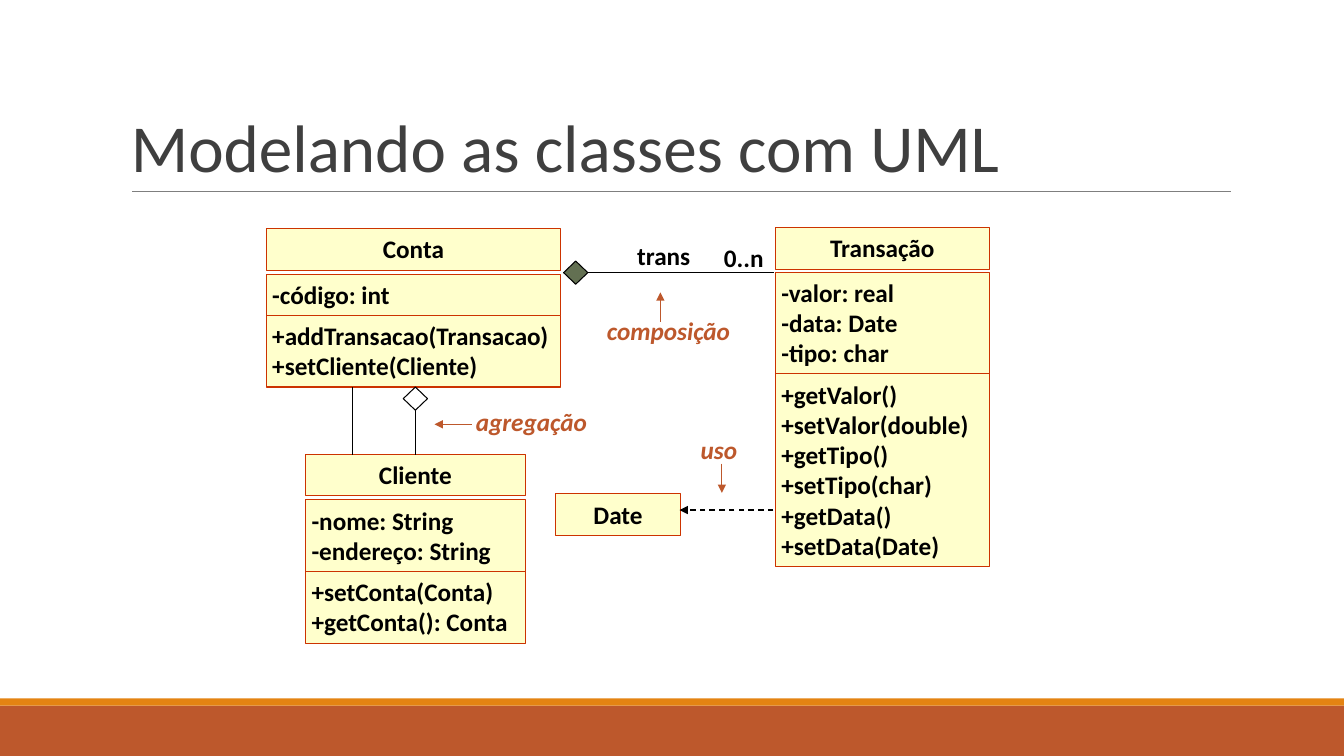
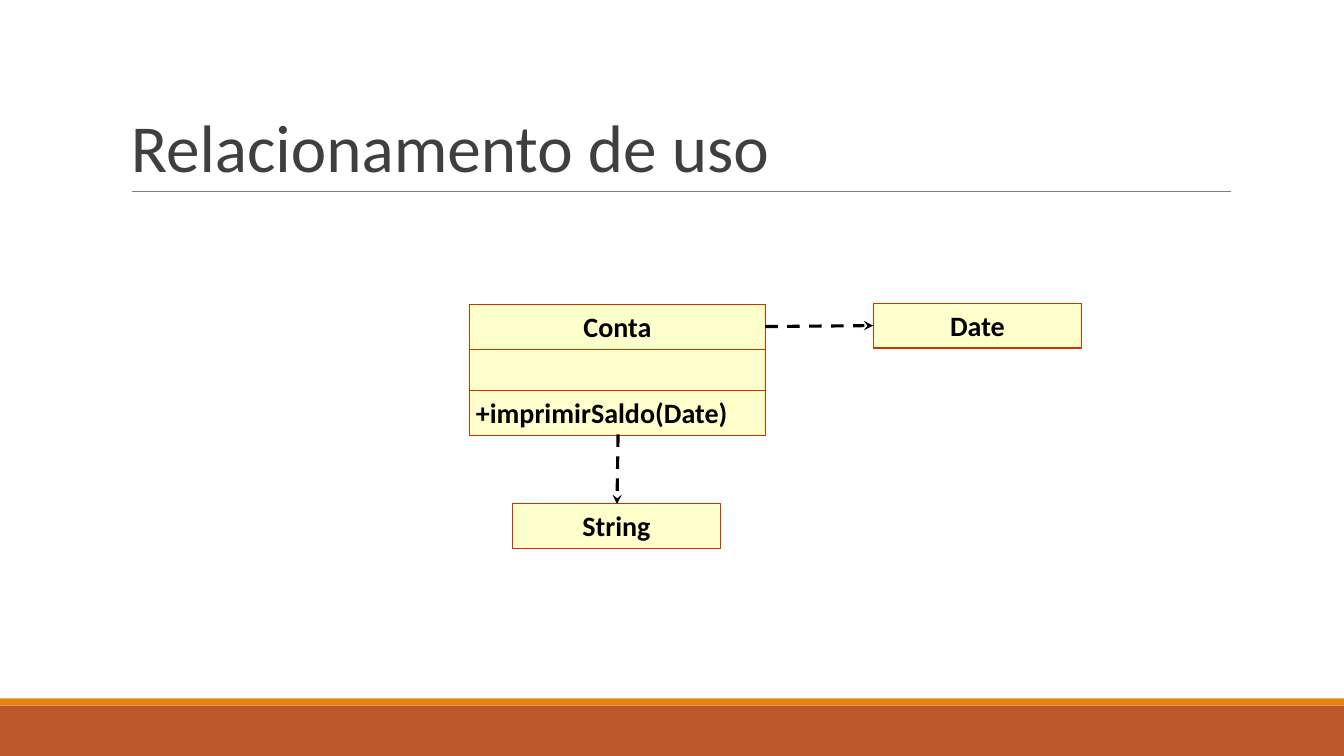
from dataclasses import dataclass
from lxml.etree import SubElement
from pptx import Presentation
from pptx.dml.color import RGBColor
from pptx.enum.dml import MSO_LINE
from pptx.enum.shapes import MSO_CONNECTOR, MSO_SHAPE
from pptx.enum.text import MSO_ANCHOR, PP_ALIGN
from pptx.oxml.ns import qn
from pptx.util import Inches, Pt


@dataclass(frozen=True)
class Theme:
    """Colours, font and type sizes that the slides share."""
    font: str = "Calibri"
    ink: str = "000000"
    head: str = "3F3F3F"
    rule: str = "7F7F7F"
    rust: str = "BD582C"
    gold: str = "E48312"
    cream: str = "FFFFCC"
    edge: str = "CC3300"
    moss: str = "637052"
    white: str = "FFFFFF"
    title: int = 48
    body: int = 18
    large: int = 20
    thin: float = 0.75


T = Theme()
WIDE, HIGH = 13.33, 7.5
FRAME = dict(margin_left=Inches(0.06), margin_right=Inches(0.06),
             margin_top=Inches(0.05), margin_bottom=Inches(0.05))


def apply(item, form):
    """Set each attribute named in a dict of format values."""
    for key, value in form.items():
        setattr(item, key, value)


def rgb(code):
    """Turn a hex code into a colour."""
    return RGBColor.from_string(code)


def write(shape, lines, size, color=T.ink, align=PP_ALIGN.LEFT,
          frame=None, para=None, **font):
    """Write lines of text into a shape, one paragraph each."""
    text = shape.text_frame
    apply(text, FRAME | dict(word_wrap=True, vertical_anchor=MSO_ANCHOR.TOP)
          | (frame or {}))
    text.text = "\n".join(lines)
    for part in text.paragraphs:
        apply(part, dict(alignment=align) | (para or {}))
        for run in part.runs:
            apply(run.font, dict(name=T.font, size=Pt(size), bold=True) | font)
            run.font.color.rgb = rgb(color)


def block(slide, box, fill, line=None, kind=MSO_SHAPE.RECTANGLE):
    """Place a filled shape in the box, outlined if a line colour is given."""
    shape = slide.shapes.add_shape(kind, *map(Inches, box))
    shape.shadow.inherit = False
    shape.fill.solid()
    shape.fill.fore_color.rgb = rgb(fill)
    if line:
        shape.line.color.rgb = rgb(line)
        shape.line.width = Pt(T.thin)
    else:
        shape.line.fill.background()
    return shape


def link(slide, start, end, color=T.ink, width=T.thin, dash=None, tip=None):
    """Join two points, with an arrowhead at the end if a tip is named."""
    wire = slide.shapes.add_connector(
        MSO_CONNECTOR.STRAIGHT, *map(Inches, (*start, *end)))
    wire.line.color.rgb = rgb(color)
    apply(wire.line, dict(width=Pt(width), dash_style=dash))
    props = wire.line._get_or_add_ln()
    if tip:
        SubElement(props, qn("a:tailEnd"), type=tip)
    SubElement(props.getparent(), qn("a:effectLst"))


def label(slide, box, text, **form):
    """Place one line of free text in the box."""
    shape = slide.shapes.add_textbox(*map(Inches, box))
    write(shape, [text], T.body, frame=dict(word_wrap=False), **form)


def model(slide, x, y, wide, name, parts=(), gaps=(0.04, 0), size=T.body):
    """Stack a class name and its compartments down from (x, y)."""
    for row, lines in enumerate([[name], *parts]):
        tall = 0.11 + max(len(lines), 1) * size / 60
        cell = block(slide, (x, y, wide, tall), T.cream, T.edge)
        if lines:
            write(cell, lines, size,
                  align=PP_ALIGN.LEFT if row else PP_ALIGN.CENTER)
        y += tall + (gaps[row] if row < len(gaps) else 0)


def base(deck, title):
    """Add a blank slide with bands, rule and title."""
    slide = deck.slides.add_slide(deck.slide_layouts[6])
    block(slide, (0, 7, WIDE, 0.5), T.rust)
    block(slide, (0, 6.93, WIDE, 0.07), T.gold)
    link(slide, (1.31, 1.9), (12.21, 1.9), T.rule)
    head = slide.shapes.add_textbox(*map(Inches, (1.2, 0.31, 11, 1.59)))
    write(head, [title], T.title, T.head, bold=False,
          frame=dict(margin_left=Inches(0.1), margin_right=Inches(0.1),
                     vertical_anchor=MSO_ANCHOR.BOTTOM),
          para=dict(line_spacing=0.85))
    return slide


def classes(deck):
    """Build the slide with the class diagram."""
    slide = base(deck, "Modelando as classes com UML")
    model(slide, 2.64, 2.27, 2.92, "Conta", [
        ["-código: int"],
        ["+addTransacao(Transacao)", "+setCliente(Cliente)"]])
    model(slide, 7.69, 2.26, 2.12, "Transação", [
        ["-valor: real", "-data: Date", "-tipo: char"],
        ["+getValor()", "+setValor(double)", "+getTipo()",
         "+setTipo(char)", "+getData()", "+setData(Date)"]], (0.03, 0))
    model(slide, 3.03, 4.51, 2.18, "Cliente", [
        ["-nome: String", "-endereço: String"],
        ["+setConta(Conta)", "+getConta(): Conta"]])
    model(slide, 5.51, 4.9, 1.24, "Date")

    link(slide, (5.81, 2.7), (7.68, 2.7))
    link(slide, (4.12, 3.84), (4.12, 4.51))
    link(slide, (3.5, 4.51), (3.5, 3.84))
    link(slide, (7.67, 5.06), (6.74, 5.06), width=1, dash=MSO_LINE.DASH,
         tip="triangle")
    for x, y, fill in ((5.59, 2.59, T.moss), (4, 3.84, T.white)):
        block(slide, (x, y, 0.24, 0.23), fill, T.ink, MSO_SHAPE.DIAMOND)

    label(slide, (6.26, 2.33, 0.65, 0.41), "trans")
    label(slide, (7.12, 2.35, 0.52, 0.41), "0..n")
    notes = (
        ("composição", (5.96, 3.08, 1.35, 0.41), (6.55, 3.19), (6.55, 2.9)),
        ("agregação", (4.66, 3.98, 1.23, 0.41), (4.68, 4.21), (4.31, 4.21)),
        ("uso", (6.89, 4.26, 0.49, 0.41), (7.16, 4.6), (7.16, 4.89)))
    for text, box, start, end in notes:
        label(slide, box, text, color=T.rust, italic=True)
        link(slide, start, end, T.rust, tip="triangle")


def usage(deck):
    """Build the slide on the usage relation."""
    slide = base(deck, "Relacionamento de uso")
    model(slide, 4.66, 3.02, 2.93, "Conta", [[], ["+imprimirSaldo(Date)"]],
          (0, -0.03), T.large)
    for name, x, y in (("String", 5.08, 5), ("Date", 8.66, 3.01)):
        model(slide, x, y, 2.07, name, size=T.large)
    for start, end in (((6.13, 4.31), (6.12, 5)), ((7.59, 3.24), (8.66, 3.23))):
        link(slide, start, end, width=2.25, dash=MSO_LINE.DASH, tip="stealth")


deck = Presentation()
apply(deck, dict(slide_width=Inches(WIDE), slide_height=Inches(HIGH)))
classes(deck)
usage(deck)
deck.save("out.pptx")
